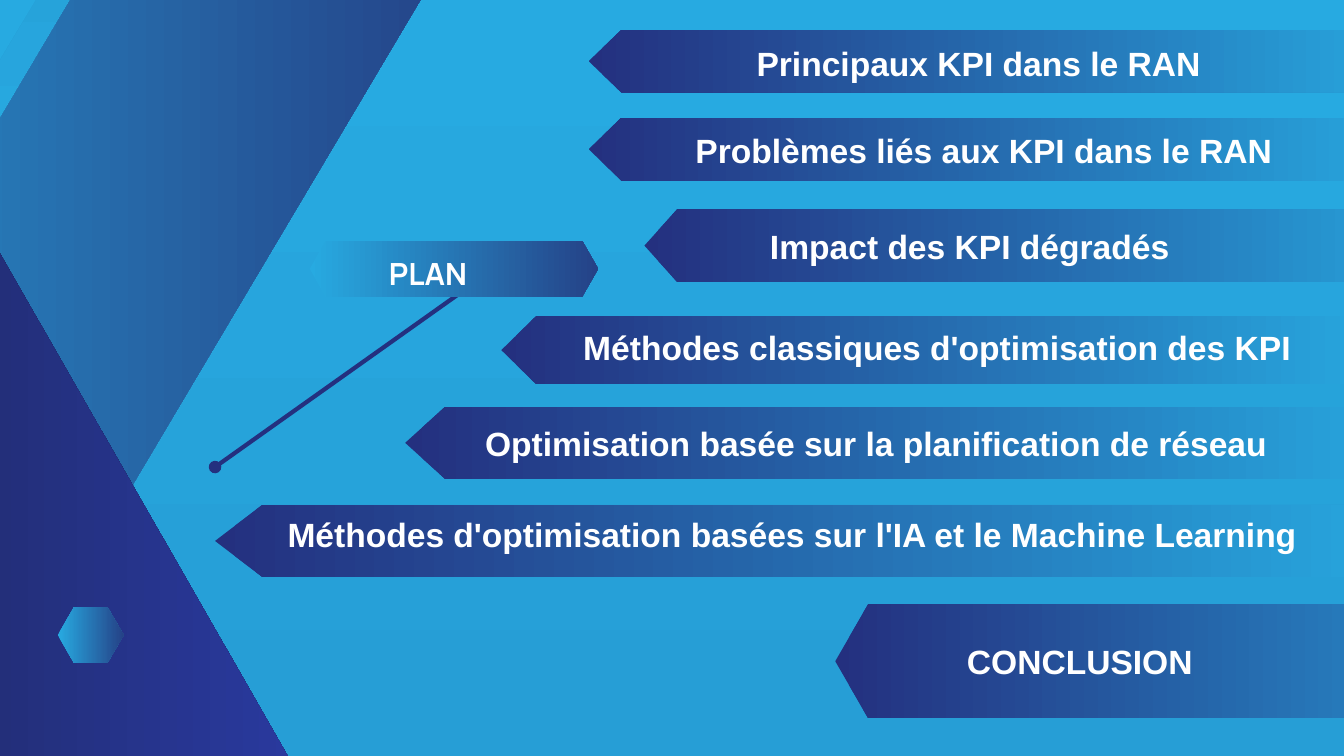
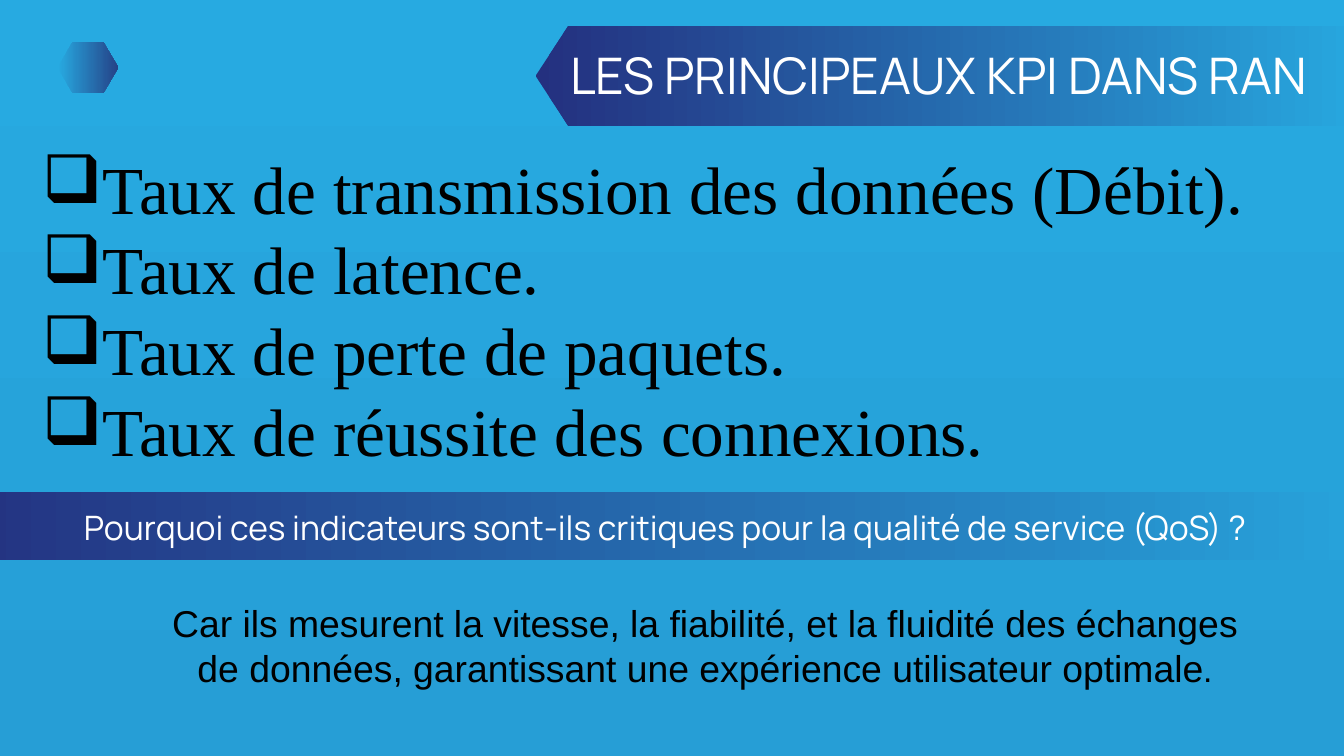
import collections

import lxml.etree
import pptx
import pptx.dml.color
import pptx.enum.shapes
import pptx.enum.text
import pptx.oxml.ns
import pptx.util

COLUMNS, ROWS = 80, 45
UNIT = pptx.util.Inches(20) / COLUMNS
SKY, SKY_DEEP = "27AAE1", "269ED6"
NAVY, STEEL = "24307F", "254287"
MIDNIGHT, INDIGO = "1A2047", "29399D"
WHITE, BLACK = "FFFFFF", "000000"
BAR_TIP = 0.0392
CENTER = pptx.enum.text.PP_ALIGN.CENTER
LEFT = pptx.enum.text.PP_ALIGN.LEFT

Box = collections.namedtuple("Box", "left top width height")

AGENDA = [
    ("Principaux KPI dans le RAN", Box(35.04, 1.76, 50.12, 3.76), 9.6, 0.6),
    ("Problèmes liés aux KPI dans le RAN", Box(35.04, 7, 49.8, 3.76), 5.96, 0.56),
    ("Impact des KPI dégradés", Box(38.36, 12.44, 50.12, 4.36), 7.08, 0.8),
    ("Méthodes classiques d'optimisation des KPI",
     Box(29.84, 18.8, 53.4, 4.08), 4.48, 0.44),
    ("Optimisation basée sur la planification de réseau",
     Box(24.12, 24.2, 61.04, 4.32), 4.36, 0.76),
    ("Méthodes d'optimisation basées sur l'IA et le Machine Learning",
     Box(12.8, 30.04, 72.36, 4.32), 3.92, 0.36),
    ("CONCLUSION", Box(49.72, 35.96, 50.12, 6.8), 7.44, 2),
]

INDICATORS = [
    "Taux de transmission des données (Débit).",
    "Taux de latence.",
    "Taux de perte de paquets.",
    "Taux de réussite des connexions",
]


def color(value):
    return pptx.dml.color.RGBColor.from_string(value)


def length(units):
    return pptx.util.Emu(round(units * UNIT))


def inside(box, left, top, width, height):
    return Box(box.left + left, box.top + top, width, height)


def add_xml(parent, tag, **attributes):
    return lxml.etree.SubElement(parent, pptx.oxml.ns.qn(tag), attributes)


def paint_gradient(fill, start, end, angle=0):
    fill.gradient()
    fill.gradient_angle = angle
    for stop, value in zip(fill.gradient_stops, (start, end)):
        stop.color.rgb = color(value)


def add_polygon(slide, box, points, start, end, angle=0):
    corners = [(length(box.left + x), length(box.top + y)) for x, y in points]
    builder = slide.shapes.build_freeform(*corners[0])
    builder.add_line_segments(corners[1:], close=True)
    shape = builder.convert_to_shape()
    shape.shadow.inherit = False
    shape.line.fill.background()
    paint_gradient(shape.fill, start, end, angle)


def add_hexagon(slide, box, tip_share=BAR_TIP, start=NAVY, end=SKY):
    width, height = box.width, box.height
    tip = width * tip_share
    points = [(0, height / 2), (tip, 0), (width - tip, 0),
              (width, height / 2), (width - tip, height), (tip, height)]
    add_polygon(slide, box, points, start, end)


def add_badge(slide, box):
    add_hexagon(slide, box, 0.25, SKY, STEEL)


def format_run(run, size, name, value, bold=False, italic=False):
    run.font.size = pptx.util.Pt(size)
    run.font.name = name
    run.font.color.rgb = color(value)
    run.font.bold = bold
    run.font.italic = italic


def add_text(slide, box, lines, size, name, value, align=LEFT, bold=False,
             spacing=None, padded=True):
    frame = slide.shapes.add_textbox(*map(length, box)).text_frame
    frame.word_wrap = True
    if not padded:
        frame.margin_left = frame.margin_right = 0
        frame.margin_top = frame.margin_bottom = 0
    frame.text = "\n".join(lines)
    for paragraph in frame.paragraphs:
        paragraph.alignment = align
        if spacing:
            paragraph.line_spacing = spacing
        for run in paragraph.runs:
            format_run(run, size, name, value, bold)
    return frame


def add_slide(presentation):
    slide = presentation.slides.add_slide(presentation.slide_layouts[6])
    paint_gradient(slide.background.fill, SKY, SKY_DEEP, 270)
    return slide


def draw_ribbons(slide, box):
    add_polygon(slide, box, [(8.28, -10.24), (11.96, -8.04), (-0.56, 12.8),
                             (-4.2, 10.6)], SKY_DEEP, SKY, 270)
    add_polygon(slide, box, [(12.64, -14.24), (28.04, -5.08), (-12.4, 63.04),
                             (-27.8, 53.92)], SKY, STEEL)
    add_polygon(slide, box, [(-24.92, 4.72), (-10.64, -3.48), (17.4, 45.48),
                             (3.12, 53.68)], MIDNIGHT, INDIGO)


def draw_plan_tag(slide, box):
    pointer = slide.shapes.add_connector(
        pptx.enum.shapes.MSO_CONNECTOR.STRAIGHT,
        length(box.left + 14.76), length(box.top + 3),
        length(box.left), length(box.top + box.height))
    pointer.line.color.rgb = color(NAVY)
    pointer.line.width = pptx.util.Pt(4.5)
    add_xml(pointer.line._get_or_add_ln(), "a:tailEnd", type="oval")
    add_xml(pointer._element.spPr, "a:effectLst")
    add_hexagon(slide, inside(box, 5.64, 0, 17.16, 3.36), 0.056, SKY, STEEL)
    add_text(slide, inside(box, 5.76, 0, 13.84, 2.48), ["PLAN"], 32.7,
             "Manrope", WHITE, CENTER, bold=True, spacing=1.4, padded=False)


def draw_agenda_bar(slide, box, label, indent, drop):
    add_hexagon(slide, box)
    room = COLUMNS - box.left - indent
    add_text(slide, inside(box, indent, drop, room, 2.84), [label], 36,
             "Arial", WHITE, bold=True)


def draw_title_bar(slide, box, title):
    add_hexagon(slide, box)
    add_text(slide, inside(box, -3.28, 3, 54.56, 1.4), [title], 54,
             "Manrope", WHITE, CENTER, spacing=0.39, padded=False)


def draw_indicators(slide, box):
    frame = add_text(slide, box, INDICATORS, 72, "Times New Roman", BLACK)
    indent = pptx.util.Inches(0.75)
    for paragraph in frame.paragraphs:
        properties = paragraph._p.get_or_add_pPr()
        properties.set("marL", str(indent))
        properties.set("indent", str(-indent))
        add_xml(add_xml(properties, "a:buClr"), "a:srgbClr", val=BLACK)
        add_xml(properties, "a:buChar", char="❑")
    period = frame.paragraphs[-1].add_run()
    period.text = "."
    format_run(period, 72, "Times New Roman", BLACK, italic=True)


def draw_question_strip(slide, box, question):
    add_hexagon(slide, box)
    add_text(slide, inside(box, 4.08, 0.92, 79.2, 2.8), [question], 36,
             "Manrope", WHITE, CENTER, padded=False)


def draw_answer(slide, box, answer):
    frame = add_text(slide, box, [answer], 40, "Arial", BLACK, CENTER)
    period = frame.paragraphs[0].add_run()
    period.text = "."
    format_run(period, 36, "Arial", BLACK)


def build_plan_slide(presentation):
    slide = add_slide(presentation)
    draw_ribbons(slide, Box(0, 0, COLUMNS, ROWS))
    add_badge(slide, Box(3.44, 36.12, 3.92, 3.36))
    draw_plan_tag(slide, Box(12.8, 14.32, 22.8, 13.48))
    for label, box, indent, drop in AGENDA:
        draw_agenda_bar(slide, box, label, indent, drop)


def build_indicator_slide(presentation):
    slide = add_slide(presentation)
    add_badge(slide, Box(3.44, 2.48, 3.6, 3.08))
    draw_title_bar(slide, Box(31.88, 1.52, 50.12, 6),
                   "LES PRINCIPEAUX KPI DANS RAN")
    draw_indicators(slide, Box(2.16, 8.55, 77.84, 20))
    draw_question_strip(
        slide, Box(-4.08, 29.28, 90.64, 4.08),
        "Pourquoi ces indicateurs sont-ils critiques pour la qualité de service (QoS) ?")
    draw_answer(
        slide, Box(8.72, 35.52, 66.48, 5.8),
        "Car ils mesurent la vitesse, la fiabilité, et la fluidité des échanges "
        "de données, garantissant une expérience utilisateur optimale")


def main():
    presentation = pptx.Presentation()
    presentation.slide_width = length(COLUMNS)
    presentation.slide_height = length(ROWS)
    build_plan_slide(presentation)
    build_indicator_slide(presentation)
    presentation.save("out.pptx")


if __name__ == "__main__":
    main()
